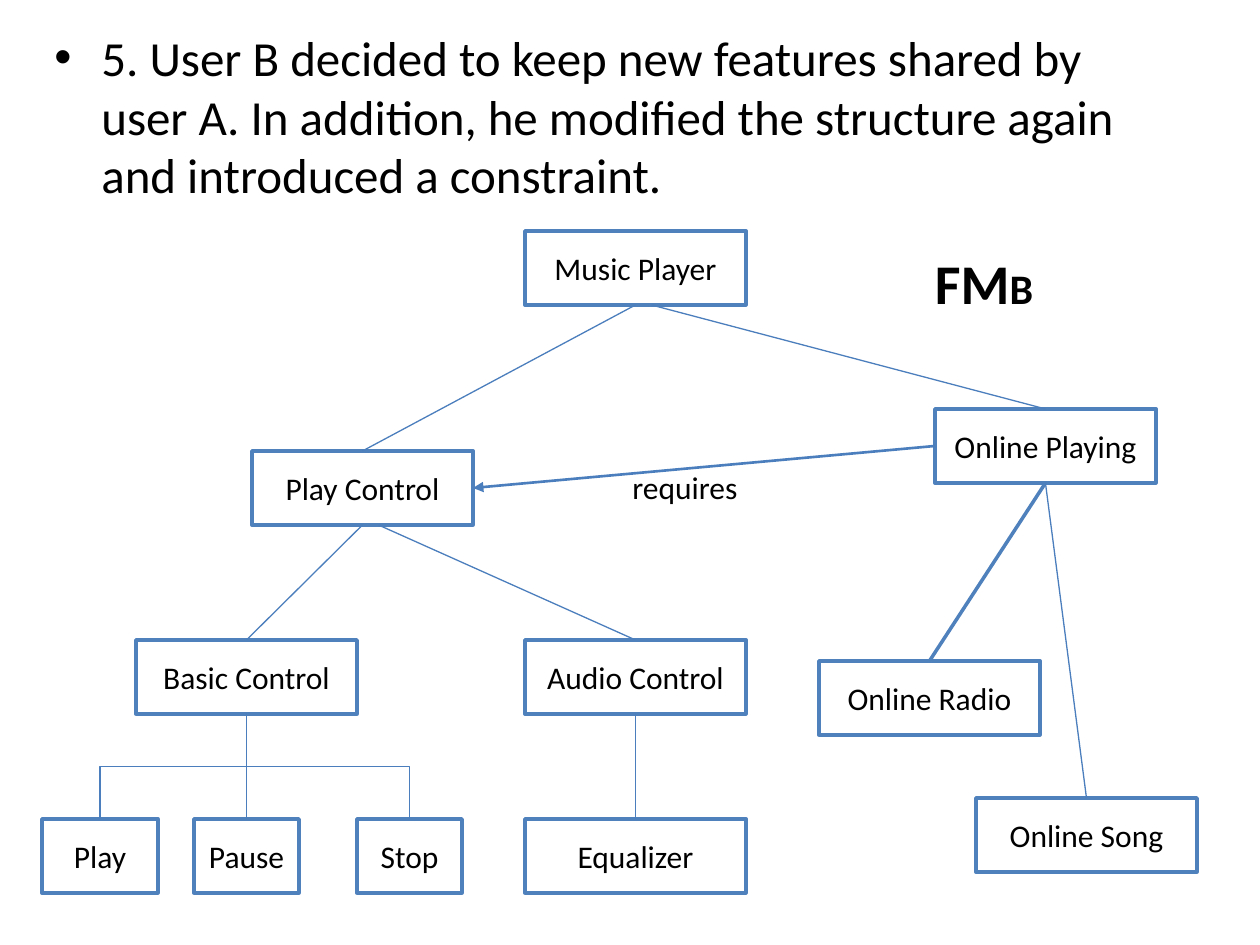
from lxml import etree
from pptx import Presentation
from pptx.dml.color import RGBColor
from pptx.enum.shapes import MSO_CONNECTOR, MSO_SHAPE
from pptx.enum.text import MSO_ANCHOR, PP_ALIGN
from pptx.oxml.ns import qn
from pptx.util import Emu, Pt

SCALE = 914400 / 126
BLACK, WHITE, BORDER, LINK = "000000", "FFFFFF", "4F81BD", "4B7EBC"
WIDE, HEIGHT = 221, 74

FEATURES = {
    "Music Player": (483, 0, WIDE),
    "Play Control": (210, 220, WIDE),
    "Online Playing": (893, 178, WIDE),
    "Basic Control": (94, 409, WIDE),
    "Audio Control": (483, 409, WIDE),
    "Online Radio": (777, 430, WIDE),
    "Online Song": (934, 567, WIDE),
    "Play": (0, 588, 116),
    "Pause": (152, 588, 105),
    "Stop": (315, 588, 105),
    "Equalizer": (483, 588, WIDE),
}
BRANCHES = [
    ("Music Player", "Play Control", 0, LINK, 0.75),
    ("Music Player", "Online Playing", 16, LINK, 0.75),
    ("Play Control", "Basic Control", 0, LINK, 0.75),
    ("Play Control", "Audio Control", 16, LINK, 0.75),
    ("Audio Control", "Equalizer", 0, LINK, 0.75),
    ("Online Playing", "Online Radio", 0, BORDER, 2),
    ("Online Playing", "Online Song", 0, LINK, 0.75),
]


def px(value):
    """Turn pixels into EMU."""
    return Emu(round(value * SCALE))


def color(value):
    """Turn a hex string into a colour."""
    return RGBColor.from_string(value)


def add_run(paragraph, text, size, bold=False):
    """Add black Calibri text to a paragraph."""
    run = paragraph.add_run()
    run.text = text
    run.font.name = "Calibri"
    run.font.size = Pt(size)
    run.font.bold = bold
    run.font.color.rgb = color(BLACK)


def add_text(slide, left, top, width, height, runs, wrap=True):
    """Add a text box of (text, size, bold) runs and return it."""
    box = slide.shapes.add_textbox(px(left), px(top), px(width), px(height))
    box.text_frame.word_wrap = wrap
    for run in runs:
        add_run(box.text_frame.paragraphs[0], *run)
    return box


def add_statement(slide, left, top, width, height):
    """Add the bulleted statement."""
    text = ("5. User B decided to keep new features shared by user A. In addition, "
            "he modified the structure again and introduced a constraint.")
    box = add_text(slide, left, top, width, height, [(text, 28)])
    properties = box.text_frame.paragraphs[0]._p.get_or_add_pPr()
    properties.set("marL", str(px(47)))
    properties.set("indent", str(px(-47)))
    spacing = etree.SubElement(properties, qn("a:spcBef"))
    etree.SubElement(spacing, qn("a:spcPct")).set("val", "20000")
    etree.SubElement(properties, qn("a:buFont")).set("typeface", "Arial")
    etree.SubElement(properties, qn("a:buChar")).set("char", "•")


def add_feature(slide, left, top, width, name):
    """Add one outlined feature box."""
    box = slide.shapes.add_shape(MSO_SHAPE.RECTANGLE, px(left), px(top), px(width), px(HEIGHT))
    box.shadow.inherit = False
    box.fill.solid()
    box.fill.fore_color.rgb = color(WHITE)
    box.line.color.rgb = color(BORDER)
    box.line.width = Pt(2)
    box.text_frame.word_wrap = True
    box.text_frame.vertical_anchor = MSO_ANCHOR.MIDDLE
    paragraph = box.text_frame.paragraphs[0]
    paragraph.alignment = PP_ALIGN.CENTER
    add_run(paragraph, name, 18)


def add_link(slide, start, end, line_color=LINK, weight=0.75, kind=MSO_CONNECTOR.STRAIGHT):
    """Add a connector between two points and return it."""
    link = slide.shapes.add_connector(kind, *map(px, (*start, *end)))
    link.line.color.rgb = color(line_color)
    link.line.width = Pt(weight)
    etree.SubElement(link._element.spPr, qn("a:effectLst"))
    return link


def add_fork(slide, start, end):
    """Add an elbow that leaves and arrives vertically."""
    (x1, y1), (x2, y2) = start, end
    across, down = abs(x2 - x1), y2 - y1
    left, top = (x1 + x2 - down) / 2, (y1 + y2 - across) / 2
    link = add_link(slide, (left, top), (left + down, top + across), kind=MSO_CONNECTOR.ELBOW)
    frame = link._element.spPr.find(qn("a:xfrm"))
    frame.set("rot", str((270 if x2 > x1 else 90) * 60000))
    if x2 > x1:
        frame.set("flipH", "1")


def add_feature_model(slide, left, top):
    """Add the feature tree, its constraint and its title."""
    def anchor(name, across, down):
        x, y, width = FEATURES[name]
        return left + x + width * across, top + y + HEIGHT * down

    for name, (x, y, width) in FEATURES.items():
        add_feature(slide, left + x, top + y, width, name)
    for parent, child, shift, line_color, weight in BRANCHES:
        x, y = anchor(parent, 0.5, 1)
        add_link(slide, (x + shift, y), anchor(child, 0.5, 0), line_color, weight)
    for child in ("Play", "Pause", "Stop"):
        add_fork(slide, anchor("Basic Control", 0.5, 1), anchor(child, 0.5, 0))

    requires = add_link(slide, anchor("Online Playing", 0, 0.5),
                        anchor("Play Control", 1, 0.5), weight=1.5)
    line = requires.line._get_or_add_ln()
    etree.SubElement(line, qn("a:tailEnd")).set("type", "triangle")
    add_text(slide, left + 578, top + 231, 132, 50, [("requires", 18)], wrap=False)

    title = add_text(slide, left + 872, top + 11, 325, 81, [("FM", 32, True), ("B", 24, True)])
    title.text_frame.margin_left = px(21)


def main():
    """Build and save the slide."""
    deck = Presentation()
    deck.slide_width, deck.slide_height = px(1260), px(945)
    slide = deck.slides.add_slide(deck.slide_layouts[6])
    add_statement(slide, 42, 21, 1134, 210)
    add_feature_model(slide, 42, 231)
    deck.save("out.pptx")


main()
